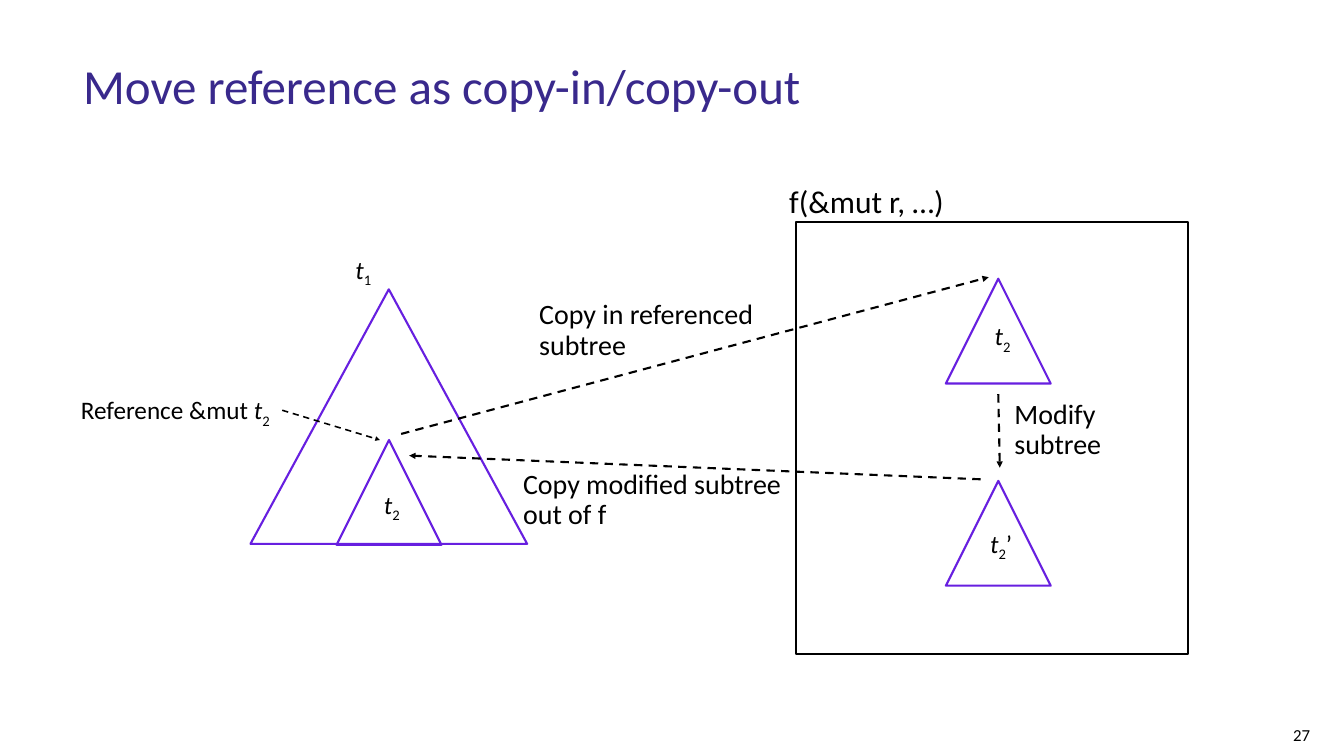
from dataclasses import dataclass

from lxml import etree
from pptx import Presentation
from pptx import util as u
from pptx.dml.color import RGBColor
from pptx.enum import dml, shapes, text
from pptx.oxml.ns import qn

PX = u.Inches(1) // 100
COLORS = {"title": "39298C", "ink": "000000", "tree": "671FE0"}
FONT = "Calibri"
TREE_SIZE = 208
LEFT, CENTER, RIGHT = text.PP_ALIGN.LEFT, text.PP_ALIGN.CENTER, text.PP_ALIGN.RIGHT
TOP, MIDDLE = text.MSO_ANCHOR.TOP, text.MSO_ANCHOR.MIDDLE
PLAIN, ITALIC, SUB = "plain", "italic", "sub"


@dataclass(frozen=True)
class Outline:
    kind: shapes.MSO_SHAPE
    left: int
    top: int
    width: int
    height: int
    color: str = "tree"


@dataclass(frozen=True)
class Label:
    spans: tuple[tuple[str, str], ...]
    left: int
    top: int
    width: int
    height: int
    size: int = 36
    align: text.PP_ALIGN = CENTER
    anchor: text.MSO_ANCHOR = MIDDLE
    spacing: float = 0.9
    inset: int = 0
    wrap: bool = True
    color: str = "ink"


@dataclass(frozen=True)
class Arrow:
    start: tuple[int, int]
    end: tuple[int, int]
    weight: float = 3


def plain(words: str) -> tuple[tuple[str, str], ...]:
    return ((words, PLAIN),)


def term(index: str, before: str = "", after: str = "") -> tuple[tuple[str, str], ...]:
    """Spans for an italic t with a subscript index and optional text around it."""
    spans = ((before, PLAIN), ("t", ITALIC), (index, SUB), (after, PLAIN))
    return tuple(span for span in spans if span[0])


def tree(left: int, top: int, width: int = TREE_SIZE, height: int = TREE_SIZE) -> Outline:
    return Outline(shapes.MSO_SHAPE.ISOSCELES_TRIANGLE, left, top, width, height)


def node_name(left: int, top: int, index: str, before: str = " ", after: str = "") -> Label:
    return Label(term(index, before, after), left, top, 184, 55)


def note(words: str, left: int, top: int, width: int = 549) -> Label:
    return Label(plain(words), left, top, width, 121, 40, LEFT)


def emu(*lengths: int) -> list[int]:
    return [length * PX for length in lengths]


def rgb(name: str) -> RGBColor:
    return RGBColor.from_string(COLORS[name])


def draw_outline(page, outline: Outline) -> None:
    shape = page.shapes.add_shape(
        outline.kind, *emu(outline.left, outline.top, outline.width, outline.height))
    shape.shadow.inherit = False
    shape.fill.background()
    shape.line.color.rgb = rgb(outline.color)
    shape.line.width = u.Pt(3)


def draw_label(page, label: Label) -> None:
    box = page.shapes.add_textbox(*emu(label.left, label.top, label.width, label.height))
    frame = box.text_frame
    frame_format = {"word_wrap": label.wrap, "vertical_anchor": label.anchor,
                    "auto_size": text.MSO_AUTO_SIZE.NONE}
    for side in ("left", "top", "right", "bottom"):
        frame_format[f"margin_{side}"] = label.inset * PX
    for name, value in frame_format.items():
        setattr(frame, name, value)
    para = frame.paragraphs[0]
    para.alignment, para.line_spacing = label.align, label.spacing
    for words, style in label.spans:
        span = para.add_run()
        span.text = words
        font_format = {"name": FONT, "size": u.Pt(label.size), "italic": style == ITALIC}
        for name, value in font_format.items():
            setattr(span.font, name, value)
        span.font.color.rgb = rgb(label.color)
        if style == SUB:
            span.font._element.set("baseline", "-25000")


def draw_arrow(page, arrow: Arrow) -> None:
    connector = page.shapes.add_connector(
        shapes.MSO_CONNECTOR.STRAIGHT, *emu(*arrow.start, *arrow.end))
    connector.line.color.rgb = rgb("ink")
    connector.line.width = u.Pt(arrow.weight)
    connector.line.dash_style = dml.MSO_LINE.DASH
    properties = connector._element.spPr
    etree.SubElement(properties.find(qn("a:ln")), qn("a:tailEnd"), type="triangle")
    etree.SubElement(properties, qn("a:effectLst"))


OUTLINES = [
    tree(668, 873),
    tree(497, 574, 549, 505),
    tree(1877, 553),
    tree(1877, 954),
    Outline(shapes.MSO_SHAPE.RECTANGLE, 1579, 441, 779, 856, "ink"),
]

LABELS = [
    Label(plain("Move reference as copy-in/copy-out"), 165, 133, 2338, 201, 70, LEFT,
          TOP, 0.8, color="title"),
    Label(plain("27"), 2500, 1431, 106, 45, 24, RIGHT, TOP, 1.0, 6),
    node_name(629, 508, "1", before=""),
    Label(term("2", "Reference &mut "), 135, 787, 426, 55),
    Label(plain("f(&mut r, …)"), 1562, 370, 315, 68, 45, wrap=False),
    node_name(680, 975, "2"),
    node_name(1892, 640, "2"),
    node_name(1889, 1052, "2", after="’"),
    note("Copy in referenced subtree", 1070, 596),
    note("Copy modified subtree out of f", 1038, 933),
    note("Modify subtree", 2013, 793, 200),
]

ARROWS = [
    Arrow((560, 814), (754, 873), 2.25),
    Arrow((796, 861), (1962, 550)),
    Arrow((1946, 951), (812, 904)),
    Arrow((1981, 782), (1984, 928)),
]


def main() -> None:
    deck = Presentation()
    deck.slide_width, deck.slide_height = emu(2667, 1500)
    page = deck.slides.add_slide(deck.slide_layouts[6])
    for outline in OUTLINES:
        draw_outline(page, outline)
    for label in LABELS:
        draw_label(page, label)
    for arrow in ARROWS:
        draw_arrow(page, arrow)
    deck.save("out.pptx")


if __name__ == "__main__":
    main()
